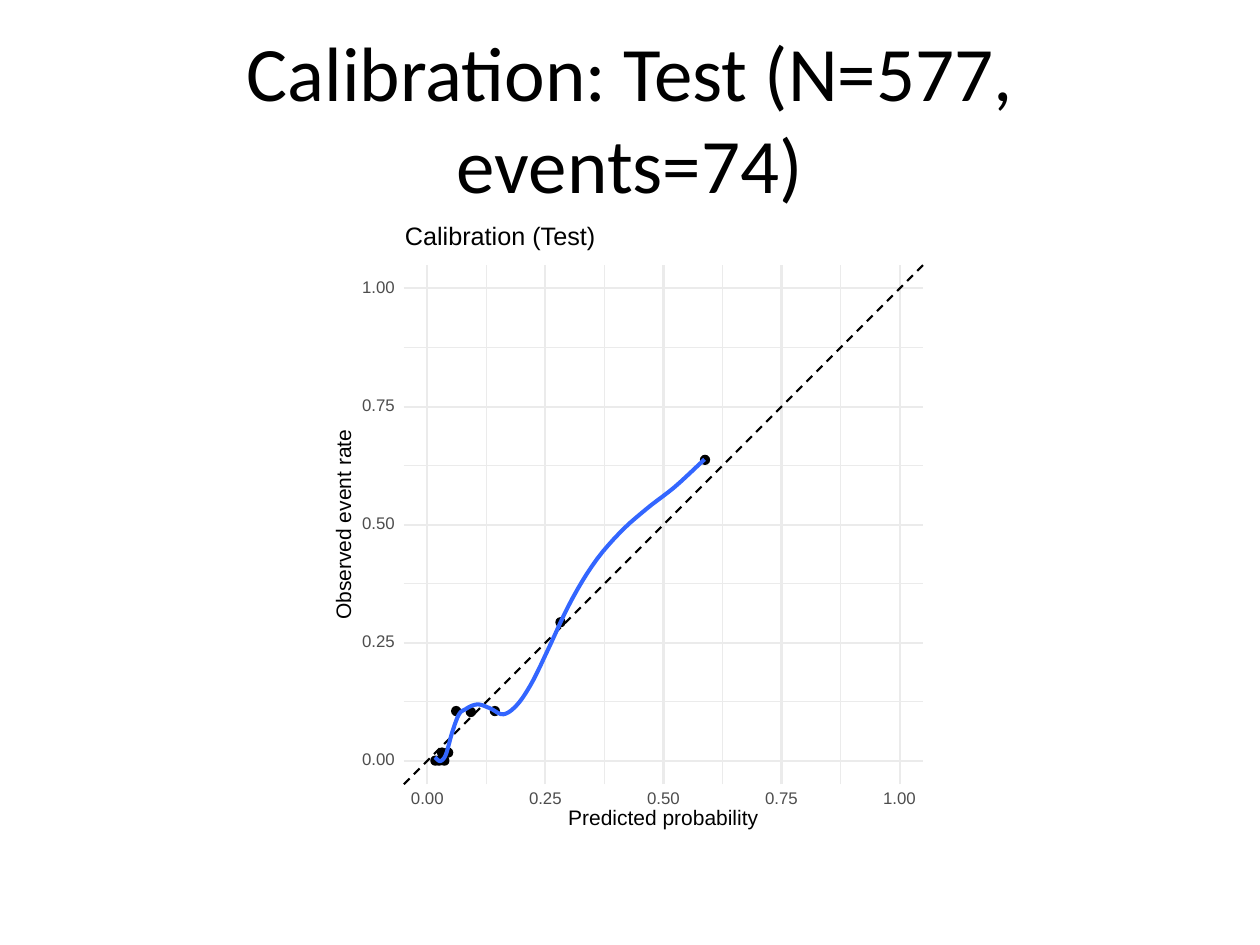
from itertools import pairwise
from lxml.etree import SubElement
from pptx import Presentation
from pptx.dml.color import RGBColor
from pptx.enum.dml import MSO_LINE as Dash
from pptx.enum.shapes import MSO_CONNECTOR as Link, MSO_SHAPE as Kind
from pptx.enum.text import MSO_ANCHOR as Anchor, PP_ALIGN as Align
from pptx.oxml.ns import qn
from pptx.util import Cm, Pt

BLACK, WHITE, GREY, PALE, BLUE = "000000", "FFFFFF", "4D4D4D", "EBEBEB", "3366FF"
LOW, HIGH, STEP = -5, 105, 25
TICKS = range(0, 101, STEP)
RATES = [(1.7, 0), (2.5, 0), (3.1, 1.7), (3.6, 0), (4.4, 1.7), (6.1, 10.5),
         (9.2, 10.3), (14.3, 10.5), (28.2, 29.3), (58.8, 63.7)]
KNOTS = [(1.6, 0.7), (2.7, -0.1), (3.8, 1), (5.2, 5.8), (6.7, 9.8),
         (8.1, 10.9), (10.6, 11.9), (13.2, 11.1), (16.1, 9.8), (18.9, 11.7),
         (21.8, 15.9), (25.5, 23.4), (29.8, 32.6), (34.8, 41.1),
         (40.6, 48.1), (46.4, 53.3), (52.2, 57.8), (58.7, 63.8)]


def color(code):
    """Turn a hex string into a colour."""
    return RGBColor.from_string(code)


def stroke(line, code, width):
    """Set the colour and width in points of a line."""
    line.color.rgb = color(code)
    line.width = Pt(width)


def style(para, name, size, code):
    """Set the font of a paragraph."""
    para.font.name, para.font.size = name, Pt(size)
    para.font.color.rgb = color(code)


def solid(shapes, kind, box, code, width=0):
    """Add a filled shape, with an outline if a width is given."""
    shape = shapes.add_shape(kind, *map(Cm, box))
    shape.shadow.inherit = False
    shape.fill.solid()
    shape.fill.fore_color.rgb = color(code)
    if width:
        stroke(shape.line, code, width)
    else:
        shape.line.fill.background()


def rule(shapes, start, end, code, width):
    """Add a straight line without a shadow."""
    line = shapes.add_connector(Link.STRAIGHT, *map(Cm, (*start, *end)))
    SubElement(line._element.spPr, qn("a:effectLst"))
    stroke(line.line, code, width)
    return line


def label(shapes, text, mid, width, size, code=BLACK, turn=0):
    """Add a one-line label centred on a point."""
    high = size * 0.03
    box = mid[0] - width / 2, mid[1] - high / 2, width, high
    shape = shapes.add_textbox(*map(Cm, box))
    shape.rotation = turn
    frame = shape.text_frame
    frame.margin_left = frame.margin_right = 0
    frame.margin_top = frame.margin_bottom = 0
    frame.word_wrap = False
    frame.vertical_anchor = Anchor.MIDDLE
    para = frame.paragraphs[0]
    para.text = text
    para.line_spacing = Pt(size)
    style(para, "Arial", size, code)


def slopes(knots):
    """Give the slope at each knot, weighing the slopes on both sides."""
    gaps = [b[0] - a[0] for a, b in pairwise(knots)]
    rises = [(b[1] - a[1]) / gap for (a, b), gap in zip(pairwise(knots), gaps)]
    inner = [(g2 * r1 + g1 * r2) / (g1 + g2)
             for (g1, g2), (r1, r2) in zip(pairwise(gaps), pairwise(rises))]
    return [rises[0], *inner, rises[-1]]


def spline(knots, parts=5):
    """Give points on the smooth cubic curve through the knots."""
    spots = [knots[0]]
    ends = zip(pairwise(knots), pairwise(slopes(knots)))
    for ((x1, y1), (x2, y2)), (m1, m2) in ends:
        gap = x2 - x1
        for part in range(1, parts + 1):
            t = part / parts
            blend = t * t * (3 - 2 * t)
            bend = t * (1 - t) * (m1 * (1 - t) - m2 * t)
            spots.append((x1 + gap * t, y1 + (y2 - y1) * blend + gap * bend))
    return spots


def grid(shapes, place, steps, width):
    """Add level and upright grid lines at the given steps."""
    for step in steps:
        rule(shapes, place(LOW, step), place(HIGH, step), PALE, width)
    for step in steps:
        rule(shapes, place(step, LOW), place(step, HIGH), PALE, width)


def dots(shapes, place, size=0.18):
    """Add one dot for each observed rate."""
    for rate in RATES:
        x, y = place(*rate)
        box = x - size / 2, y - size / 2, size, size
        solid(shapes, Kind.OVAL, box, BLACK, 0.77)


def trend(shapes, place):
    """Add the smooth trend curve."""
    first, *rest = [tuple(map(Cm, place(*spot))) for spot in spline(KNOTS)]
    pen = shapes.build_freeform(*first)
    pen.add_line_segments(rest, close=False)
    shape = pen.convert_to_shape()
    shape.shadow.inherit = False
    shape.fill.background()
    stroke(shape.line, BLUE, 2.33)


def names(shapes, place, box):
    """Add the tick labels, the axis titles and the plot title."""
    left, top, side = box
    base, half = top + side, side / 2
    for tick in TICKS:
        x, y = place(tick, tick)
        for mid in ((left - 0.51, y), (x, base + 0.3)):
            label(shapes, f"{tick / 100:.2f}", mid, 0.66, 9.6, GREY)
    label(shapes, "Predicted probability", (left + half, base + 0.71), 3.84, 12)
    label(shapes, "Observed event rate", (left - 1.19, top + half), 3.84, 12,
          turn=270)
    label(shapes, "Calibration (Test)", (left + 1.97, top - 0.55), 3.89, 14.4)


def plot(shapes, box):
    """Draw the calibration plot in a square of left, top and side."""
    left, top, side = box
    unit = side / (HIGH - LOW)

    def place(x, y):
        """Map percentages to a point on the slide."""
        return left + (x - LOW) * unit, top + (HIGH - y) * unit

    grid(shapes, place, [tick + STEP / 2 for tick in TICKS[:-1]], 0.58)
    grid(shapes, place, TICKS, 1.16)
    ideal = rule(shapes, place(LOW, LOW), place(HIGH, HIGH), BLACK, 1.16)
    ideal.line.dash_style = Dash.DASH
    dots(shapes, place)
    trend(shapes, place)
    names(shapes, place, box)


def head(shape, text, box):
    """Fill and place the title."""
    shape.left, shape.top, shape.width, shape.height = map(Cm, box)
    frame = shape.text_frame
    frame.text = text
    frame.vertical_anchor = Anchor.MIDDLE
    para = frame.paragraphs[0]
    para.alignment = Align.CENTER
    style(para, "Calibri", 44, BLACK)


def main():
    """Build the slide and save it."""
    deck = Presentation()
    deck.slide_width, deck.slide_height = Cm(25.4), Cm(19.05)
    slide = deck.slides.add_slide(deck.slide_layouts[5])
    head(slide.shapes.title, "Calibration: Test (N=577, events=74)",
         (1.27, 0.76, 22.86, 3.18))
    shapes = slide.shapes.add_group_shape().shapes
    solid(shapes, Kind.RECTANGLE, (1.27, 4.45, 22.86, 12.57), WHITE, 0.75)
    solid(shapes, Kind.RECTANGLE, (6.58, 4.45, 12.24, 12.57), WHITE)
    plot(shapes, (8.14, 5.34, 10.47))
    deck.save("out.pptx")


if __name__ == "__main__":
    main()
